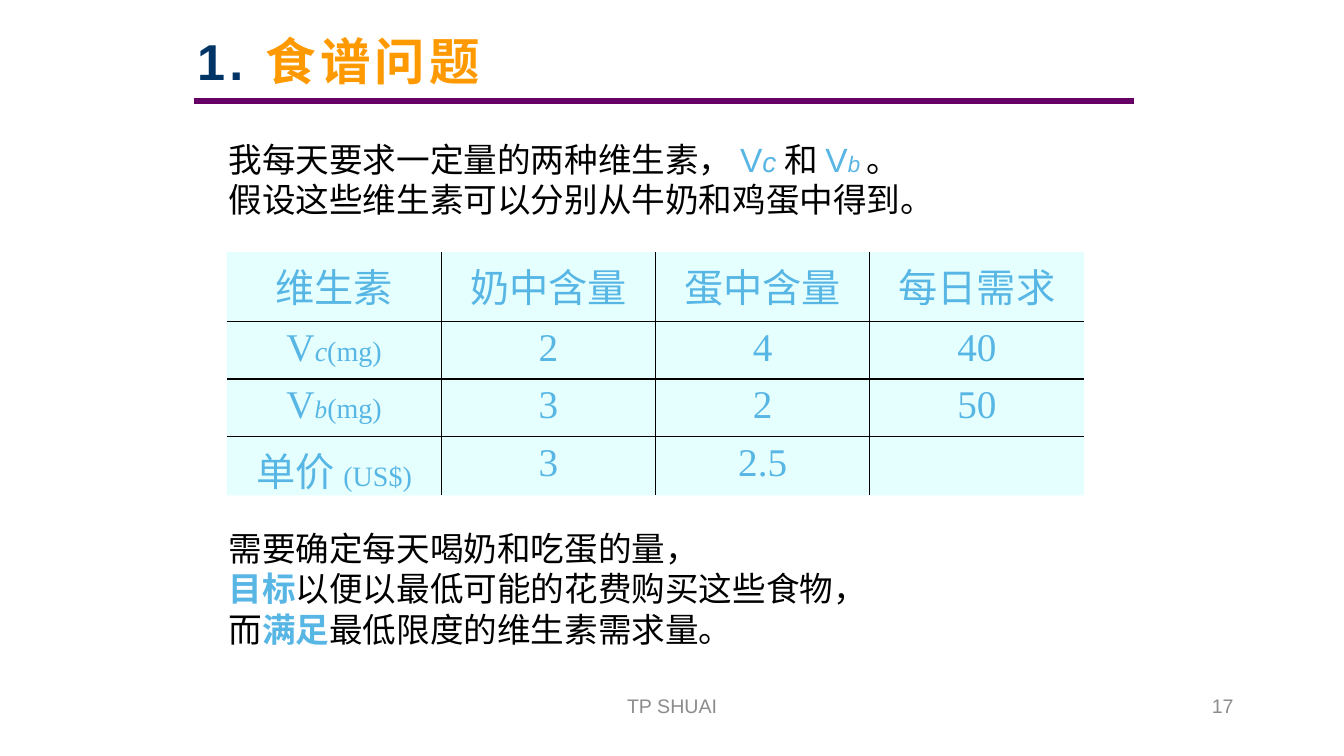
import pptx
import pptx.util
import pptx.dml.color
import pptx.enum.shapes
import pptx.enum.text
import pptx.oxml
import pptx.oxml.ns
from lxml import etree

Cm = pptx.util.Cm
Pt = pptx.util.Pt
ALIGN = pptx.enum.text.PP_ALIGN
ANCHOR = pptx.enum.text.MSO_ANCHOR
qn = pptx.oxml.ns.qn

HUES = {"ink": "000000", "sky": "58B6E5", "navy": "003366", "gold": "FF9900",
        "plum": "660066", "gray": "8C8C8C", "ice": "CCFFFF"}
CJK, SANS, SERIF = "Noto Sans CJK SC", "Arial", "Times New Roman"

TITLE = [[("1. ", 36, SANS, "navy", "b"), ("食谱问题", 36, SANS, "gold", "b")]]
NEEDS = [
    [("我每天要求一定量的两种维生素， ", 24, CJK, "ink", ""), ("V", 24, SANS, "sky", ""),
     ("c ", 20, SANS, "sky", "i"), ("和 ", 24, SANS, "ink", ""),
     ("V", 24, SANS, "sky", ""), ("b ", 16, SANS, "sky", "i"), ("。", 24, CJK, "ink", "")],
    [("假设这些维生素可以分别从牛奶和鸡蛋中得到。", 24, CJK, "ink", "")],
]
GOALS = [
    [("需要确定每天喝奶和吃蛋的量，", 24, CJK, "ink", "")],
    [("目标", 24, CJK, "sky", "b"), ("以便以最低可能的花费购买这些食物，", 24, CJK, "ink", "")],
    [("而", 24, CJK, "ink", ""), ("满足", 24, CJK, "sky", "b"),
     ("最低限度的维生素需求量。", 24, CJK, "ink", "")],
]
FOOTS = [("TP SHUAI", 11.58, 10.72, ALIGN.CENTER), ("17", 24.28, 7.06, ALIGN.RIGHT)]


def head(text):
    """Return one large Chinese run."""
    return (text, 28, CJK, "sky", "")


def roman(text, size=28, style=""):
    """Return one serif run."""
    return (text, size, SERIF, "sky", style)


DIET = [
    [[head("维生素")], [head("奶中含量")], [head("蛋中含量")], [head("每日需求")]],
    [[roman("V"), roman("c", 20, "i"), roman("(mg)", 20)],
     [roman("2")], [roman("4")], [roman("40")]],
    [[roman("V"), roman("b", 18, "i"), roman("(mg)", 20)],
     [roman("3")], [roman("2")], [roman("50")]],
    [[head("单价 "), roman("(US$)", 20)], [roman("3")], [roman("2.5")], []],
]
ROWS = [1.75, 1.45, 1.45, 1.48]
WIDE = 21.6


def color(name):
    """Look up a colour by name."""
    return pptx.dml.color.RGBColor.from_string(HUES[name])


def write(para, runs):
    """Fill a paragraph with formatted runs."""
    for text, size, face, hue, style in runs:
        run = para.add_run()
        run.text = text
        font = run.font
        font.size, font.name = Pt(size), face
        font.bold, font.italic = "b" in style, "i" in style
        font.color.rgb = color(hue)
        east = etree.SubElement(font._element, qn("a:ea"))
        east.set("typeface", CJK)


def place(slide, box, paras, align=ALIGN.LEFT, pitch=None, anchor=ANCHOR.TOP):
    """Add a wrapped text box and return its frame."""
    frame = slide.shapes.add_textbox(*map(Cm, box)).text_frame
    frame.word_wrap = True
    frame.vertical_anchor = anchor
    for i, runs in enumerate(paras):
        para = frame.add_paragraph() if i else frame.paragraphs[0]
        para.alignment = align
        if pitch:
            para.line_spacing = Pt(pitch)
        write(para, runs)
    return frame


def edge(props, side, shown):
    """Add one cell border, drawn or empty."""
    line = etree.SubElement(props, qn("a:ln" + side), w=str(Pt(1)))
    if shown:
        fill = etree.SubElement(line, qn("a:solidFill"))
        etree.SubElement(fill, qn("a:srgbClr"), val=HUES["ink"])
    else:
        etree.SubElement(line, qn("a:noFill"))


def chart_diet(slide):
    """Add the vitamin table."""
    count = len(DIET[0])
    table = slide.shapes.add_table(len(DIET), count, Cm(5.72), Cm(6.35),
                                   Cm(WIDE), Cm(sum(ROWS))).table
    table.first_row = table.horz_banding = False
    for col in table.columns:
        col.width = Cm(WIDE / count)
    for r, line in enumerate(DIET):
        table.rows[r].height = Cm(ROWS[r])
        for c, runs in enumerate(line):
            cell = table.cell(r, c)
            cell.margin_bottom = 0
            para = cell.text_frame.paragraphs[0]
            para.alignment = ALIGN.CENTER
            write(para, runs)
            props = cell._tc.get_or_add_tcPr()
            shown = {"L": c > 0, "R": c < count - 1, "T": r > 0, "B": r < len(DIET) - 1}
            for side, flag in shown.items():
                edge(props, side, flag)
            cell.fill.solid()
            cell.fill.fore_color.rgb = color("ice")
            tint = props.find(qn("a:solidFill")).find(qn("a:srgbClr"))
            etree.SubElement(tint, qn("a:alpha"), val="50000")


def main():
    """Build the diet problem slide."""
    deck = pptx.Presentation()
    deck.slide_width, deck.slide_height = Cm(33.87), Cm(19.05)
    slide = deck.slides.add_slide(deck.slide_layouts[6])
    for text, left, width, align in FOOTS:
        place(slide, (left, 17.35, width, 1.27), [[(text, 14, SANS, "gray", "")]], align)
    title = place(slide, (4.72, -0.08, 21.6, 3.18), TITLE, anchor=ANCHOR.MIDDLE)
    for run in title.paragraphs[0].runs:
        run.font._element.set("spc", "300")
    rule = slide.shapes.add_connector(pptx.enum.shapes.MSO_CONNECTOR.STRAIGHT,
                                      Cm(4.88), Cm(2.54), Cm(28.58), Cm(2.54))
    rule.line.color.rgb = color("plum")
    rule.line.width = Pt(4.5)
    etree.SubElement(rule._element.spPr, qn("a:effectLst"))
    place(slide, (5.51, 3.38, 22.66, 2.31), NEEDS, pitch=28.8)
    chart_diet(slide)
    place(slide, (5.51, 13.18, 21.6, 3.33), GOALS, pitch=28.8)
    deck.save("out.pptx")


if __name__ == "__main__":
    main()
